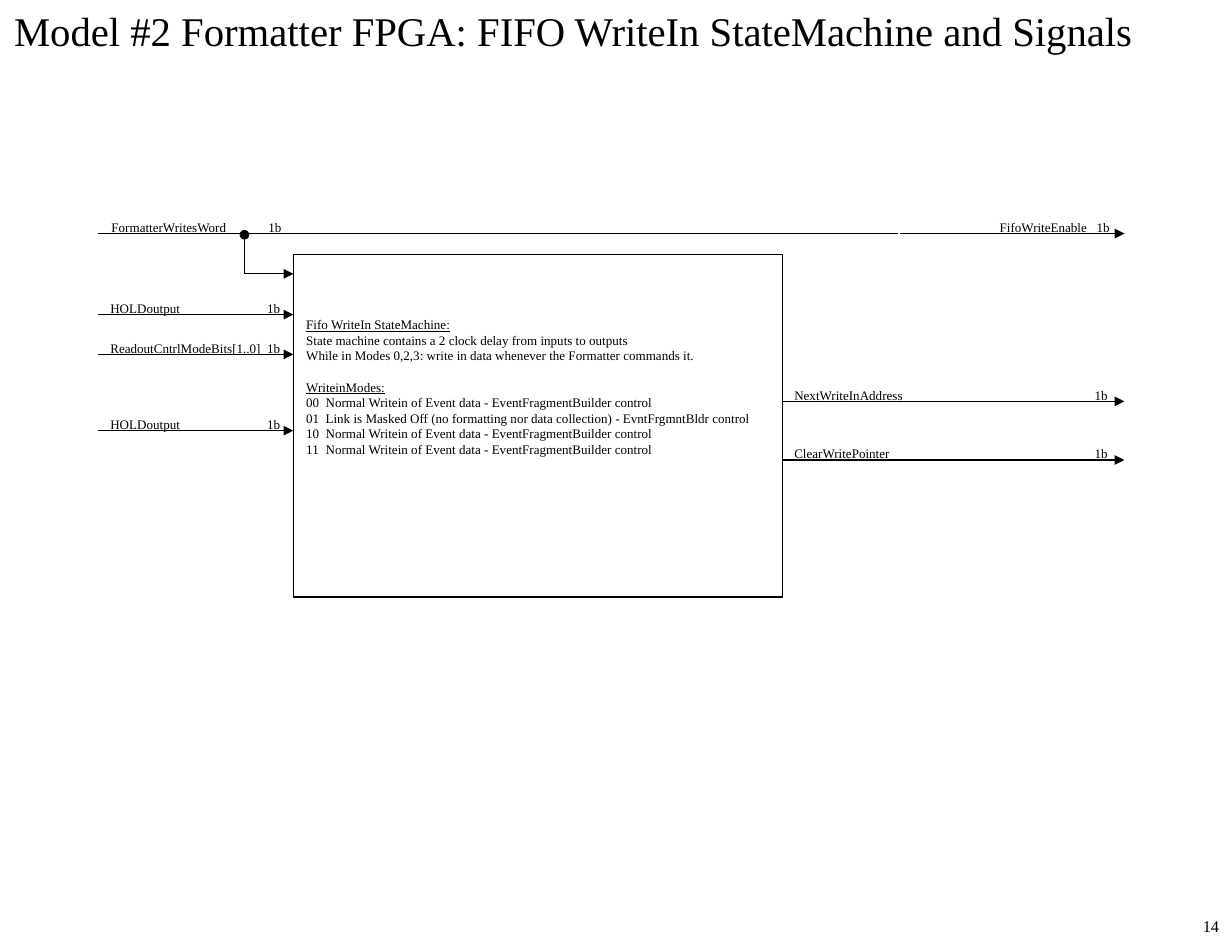
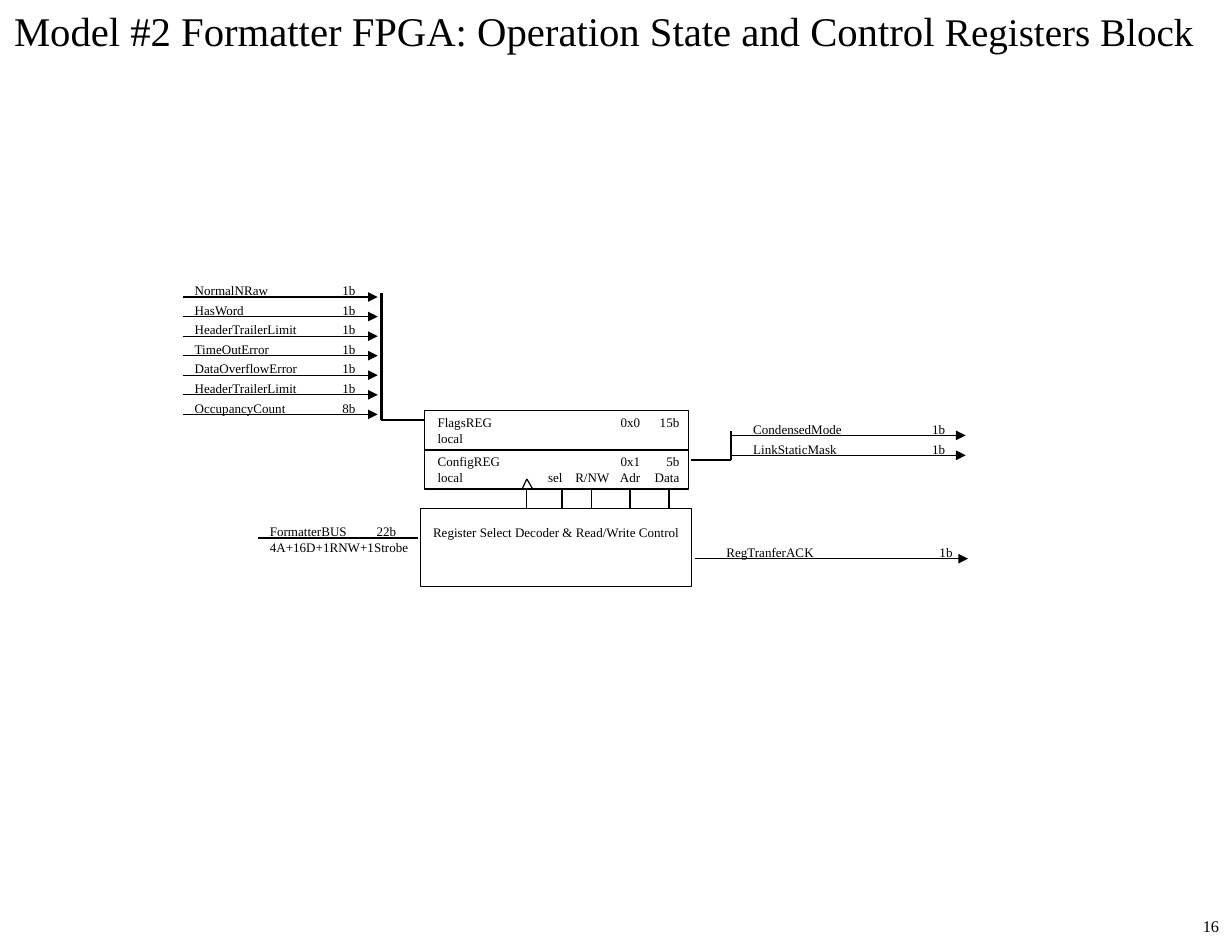
import pptx
import pptx.util
import pptx.dml.color
import pptx.enum.shapes
import pptx.enum.text
import pptx.oxml
import pptx.oxml.ns

Pt = pptx.util.Pt
WIDE, HIGH = 756, 576
FONT = "Times New Roman"
COLORS = {"ink": "000000", "paper": "FFFFFF"}
SMALL, PAGE = 8, 10
PAD, RISE = 7.92, 12.5      # side inset; label top above its line
THIN, BOLD = 0.75, 1.5
REG_TABS = [(76.7, "r"), (105.5, "r"), (124.4, "r"), (148.4, "r")]

# Boxes: x, y, width, height, fill, top inset (None = centred), tabs, rows
# Wires: points, width, mark at start, mark at end
# Signals: arrow (start, end) or None, label left, bits right, rows of (name, bits, y)
SLIDES = [
    {
        "title": [("Model #2 Formatter FPGA: FIFO WriteIn StateMachine and Signals", 25)],
        "page": "14",
        "pins": [],
        "boxes": [
            (180, 156.24, 300, 210, None, 38, [(11.9, "l")], [
                ["Fifo WriteIn StateMachine:"],
                ["State machine contains a 2 clock delay from inputs to outputs"],
                ["While in Modes 0,2,3: write in data whenever the Formatter commands it."],
                ["WriteinModes:"],
                ["00", "Normal Writein of Event data - EventFragmentBuilder control"],
                ["01", "Link is Masked Off (no formatting nor data collection)"
                       " - EvntFrgmntBldr control"],
                ["10", "Normal Writein of Event data - EventFragmentBuilder control"],
                ["11", "Normal Writein of Event data - EventFragmentBuilder control"],
            ]),
        ],
        "wires": [
            ([(60, 143.28), (550.8, 143.28)], THIN, None, None),
            ([(552.2, 143.28), (606.2, 143.28), (690, 143.28)], THIN, None, "triangle"),
            ([(150, 144), (150, 168), (180, 168)], THIN, "oval", "triangle"),
        ],
        "signals": [
            (None, 60.5, 172.8, [("FormatterWritesWord", "1b", 143.28)]),
            (None, 605.5, 681, [("FifoWriteEnable", "1b", 143.28)]),
            ((60, 180), 59.8, 172, [
                ("HOLDoutput", "1b", 193),
                ("ReadoutCntrlModeBits[1..0]", "1b", 217.4),
                ("HOLDoutput", "1b", 264.2),
            ]),
            ((480, 690), 479.5, 679.8, [
                ("NextWriteInAddress", "1b", 246.2),
                ("ClearWritePointer", "1b", 282.2),
            ]),
        ],
        "notes": [],
    },
    {
        "title": [("Model #2 Formatter FPGA: Operation State and Control ", 25),
                  ("Registers Block", 24)],
        "page": "16",
        "pins": [(323.3, THIN), (344.9, THIN), (362.9, THIN), (386.6, THIN), (410.4, BOLD)],
        "boxes": [
            (260.6, 276, 162, 24, "paper", None, REG_TABS, [
                ["ConfigREG", "0x1", "5b"],
                ["local", "sel", "R/NW", "Adr", "Data"],
            ]),
            (260.6, 252, 162, 24, "paper", None, REG_TABS, [
                ["FlagsREG", "0x0", "15b"],
                ["local"],
            ]),
            (257.8, 312, 166.3, 48, "paper", 10, [], [
                ["Register Select Decoder & Read/Write Control"],
            ]),
        ],
        "wires": [
            ([(320.4, 300), (323.3, 293.8), (326.9, 300)], THIN, None, None),
            ([(234, 180), (234, 257.8), (260.6, 257.8)], BOLD, None, None),
            ([(424, 282.2), (448.6, 282.2), (448.6, 264.2)], BOLD, None, None),
            ([(158.4, 330), (256.3, 330)], BOLD, None, None),
        ],
        "signals": [
            ((112.3, 231.8), 111.6, 218.2, [
                (name, bits, 182.2 + 12 * i) for i, (name, bits) in enumerate([
                    ("NormalNRaw", "1b"),
                    ("HasWord", "1b"),
                    ("HeaderTrailerLimit", "1b"),
                    ("TimeOutError", "1b"),
                    ("DataOverflowError", "1b"),
                    ("HeaderTrailerLimit", "1b"),
                    ("OccupancyCount", "8b"),
                ])
            ]),
            ((448.6, 592.6), 454.3, 580, [
                ("CondensedMode", "1b", 267.1),
                ("LinkStaticMask", "1b", 279.3),
            ]),
            ((426.2, 594), 437.8, 584.6, [("RegTranferACK", "1b", 342.7)]),
        ],
        "notes": [
            (157.7, 317.5, 100, [(77.6, "r")], [
                ["FormatterBUS", "22b"],
                ["4A+16D+1RNW+1Strobe"],
            ]),
        ],
    },
]


def tint(name):
    return pptx.dml.color.RGBColor.from_string(COLORS[name])


def style(font, size):
    font.name = FONT
    font.size = Pt(size)
    font.color.rgb = tint("ink")


def frame_up(frame, top=3.75, right=0):
    frame.word_wrap = True
    frame.auto_size = pptx.enum.text.MSO_AUTO_SIZE.NONE
    frame.vertical_anchor = pptx.enum.text.MSO_ANCHOR.TOP
    frame.margin_left, frame.margin_right = Pt(PAD), Pt(right)
    frame.margin_top, frame.margin_bottom = Pt(top), Pt(0)


def set_tabs(para, stops):
    tabs = pptx.oxml.ns.qn("a:tabLst")
    tabs = para._p.get_or_add_pPr().makeelement(tabs, {})
    for pos, side in stops:
        tab = tabs.makeelement(pptx.oxml.ns.qn("a:tab"),
                               {"pos": str(int(Pt(pos))), "algn": side})
        tabs.append(tab)
    para._p.get_or_add_pPr().append(tabs)


def write(frame, rows, stops):
    """Write rows of cells, lined up on the last tab stops; headings end in a colon."""
    for i, cells in enumerate(rows):
        para = frame.paragraphs[0] if i == 0 else frame.add_paragraph()
        para.text = "\t".join(cells)
        para.alignment = pptx.enum.text.PP_ALIGN.LEFT
        head = cells[0].endswith(":")
        if head and i:
            para.space_before = Pt(9.5)
        if len(cells) > 1:
            set_tabs(para, stops[1 - len(cells):])
        style(para.font, SMALL)
        if head:
            para.font.underline = True


def add_text(slide, x, y, w, h, rows, stops):
    box = slide.shapes.add_textbox(Pt(x), Pt(y), Pt(w), Pt(h))
    frame_up(box.text_frame)
    write(box.text_frame, rows, stops)


def add_box(slide, x, y, w, h, fill, top, stops, rows):
    kind = pptx.enum.shapes.MSO_SHAPE.RECTANGLE
    box = slide.shapes.add_shape(kind, Pt(x), Pt(y), Pt(w), Pt(h))
    box.shadow.inherit = False
    if fill:
        box.fill.solid()
        box.fill.fore_color.rgb = tint(fill)
    else:
        box.fill.background()
    box.line.color.rgb = tint("ink")
    box.line.width = Pt(THIN)
    frame_up(box.text_frame, top or 0)
    if top is None:
        box.text_frame.vertical_anchor = pptx.enum.text.MSO_ANCHOR.MIDDLE
    write(box.text_frame, rows, stops)


def add_wire(slide, points, width, start=None, end=None):
    """Join the points with straight connectors, marked at the two far ends."""
    last = len(points) - 2
    for i, (a, b) in enumerate(zip(points, points[1:])):
        kind = pptx.enum.shapes.MSO_CONNECTOR.STRAIGHT
        wire = slide.shapes.add_connector(kind, *(Pt(v) for v in a + b))
        wire.line.color.rgb = tint("ink")
        wire.line.width = Pt(width)
        props = wire._element.spPr
        line = wire.line._get_or_add_ln()
        marks = [("a:headEnd", start if i == 0 else None),
                 ("a:tailEnd", end if i == last else None)]
        for tag, mark in marks:
            if mark:
                size = {"type": mark, "w": "med", "len": "med"}
                line.append(line.makeelement(pptx.oxml.ns.qn(tag), size))
        props.append(props.makeelement(pptx.oxml.ns.qn("a:effectLst"), {}))


def add_title(slide, runs):
    title = slide.shapes.title
    title.left, title.top = Pt(0.7), Pt(0)
    title.width, title.height = Pt(WIDE - 0.7), Pt(37.4)
    frame_up(title.text_frame)
    para = title.text_frame.paragraphs[0]
    para.alignment = pptx.enum.text.PP_ALIGN.LEFT
    style(para.font, runs[0][1])
    for text, size in runs:
        run = para.add_run()
        run.text = text
        if size != runs[0][1]:
            run.font.size = Pt(size)


def add_page(slide, text):
    box = slide.shapes.add_textbox(Pt(660), Pt(558), Pt(96), Pt(18))
    frame_up(box.text_frame, right=PAD)
    para = box.text_frame.paragraphs[0]
    para.text = text
    para.alignment = pptx.enum.text.PP_ALIGN.RIGHT
    style(para.font, PAGE)


def build(deck, data):
    slide = deck.slides.add_slide(deck.slide_layouts[5])
    add_title(slide, data["title"])
    for x, width in data["pins"]:
        add_wire(slide, [(x, 330), (x, 300)], width)
    for box in data["boxes"]:
        add_box(slide, *box)
    for wire in data["wires"]:
        add_wire(slide, *wire)
    for arrow, left, right, rows in data["signals"]:
        for name, bits, y in rows:
            if arrow:
                add_wire(slide, [(arrow[0], y), (arrow[1], y)], THIN, None, "triangle")
            add_text(slide, left, y - RISE, right - left + PAD, 17.3,
                     [[name, bits]], [(right - left - PAD, "r")])
    for x, y, w, stops, rows in data["notes"]:
        add_text(slide, x, y, w, 26.6, rows, stops)
    add_page(slide, data["page"])


def main():
    deck = pptx.Presentation()
    deck.slide_width, deck.slide_height = Pt(WIDE), Pt(HIGH)
    for data in SLIDES:
        build(deck, data)
    deck.save("out.pptx")


if __name__ == "__main__":
    main()
